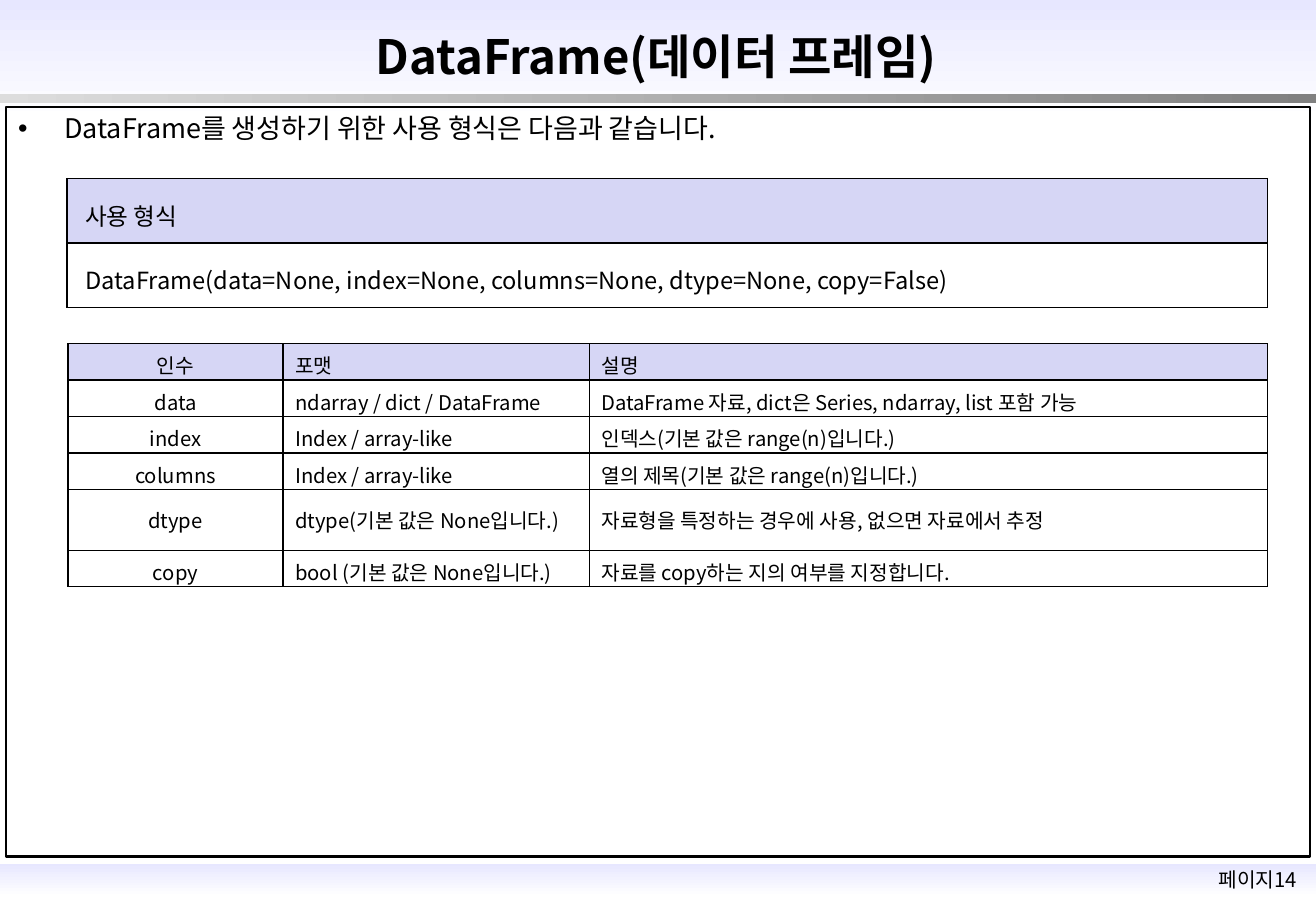
from lxml import etree
from pptx import Presentation
from pptx.dml.color import RGBColor
from pptx.enum.shapes import MSO_SHAPE
from pptx.enum.text import MSO_ANCHOR, PP_ALIGN
from pptx.oxml.ns import qn
from pptx.util import Inches, Pt

RECT = MSO_SHAPE.RECTANGLE
MIDDLE = MSO_ANCHOR.MIDDLE
LEFT, CENTER, JUSTIFY = PP_ALIGN.LEFT, PP_ALIGN.CENTER, PP_ALIGN.JUSTIFY
FONT = "Noto Sans CJK KR"
W, H = 10.83, 7.5


def color(code):
    return RGBColor.from_string(code)


def write(frame, text, size, align, bold=False):
    """Put one run into the frame's first paragraph and return the paragraph."""
    para = frame.paragraphs[0]
    para.alignment = align
    run = para.add_run()
    run.text = text
    run.font.size = Pt(size)
    run.font.bold = bold
    run.font.name = FONT
    run.font.color.rgb = color("000000")
    etree.SubElement(run._r.rPr, qn("a:ea"), typeface=FONT)
    return para


prs = Presentation()
prs.slide_width, prs.slide_height = Inches(W), Inches(H)
slide = prs.slides.add_slide(prs.slide_layouts[6])
shapes = slide.shapes

# Header and footer bands: top, height, first colour, last colour, angle
bands = [
    (7.11, 0.27, "E7E7FF", "FFFFFF", 270),
    (0, 1, "E7E7FF", "FFFFFF", 270),
    (0.77, 0.08, "DDDDDD", "808080", 0),
]
for top, tall, first, last, angle in bands:
    band = shapes.add_shape(RECT, 0, Inches(top), Inches(W), Inches(tall))
    band.shadow.inherit = False
    band.line.fill.background()
    band.fill.gradient()
    band.fill.gradient_angle = angle
    for stop, code in zip(band.fill.gradient_stops, (first, last)):
        stop.color.rgb = color(code)

# Content frame
edge = 0.05
frame = shapes.add_shape(RECT, Inches(edge), Inches(0.88),
                         Inches(W - 2 * edge), Inches(6.17))
frame.shadow.inherit = False
frame.fill.background()
frame.line.color.rgb = color("000000")
frame.line.width = Pt(1.5)

# Title, bullet and page number: box, text, size, alignment, bold
texts = [
    ((1.39, 0.17, 8.02, 0.58), "DataFrame(데이터 프레임)", 28, CENTER, True),
    ((edge, 0.87, 10.55, 0.37),
     "DataFrame를 생성하기 위한 사용 형식은 다음과 같습니다.", 16, LEFT, False),
    ((9.82, 7.09, 1.06, 0.3), "페이지14", 12, CENTER, False),
]
for box, text, size, align, bold in texts:
    label = shapes.add_textbox(*map(Inches, box)).text_frame
    label.word_wrap = True
    label.vertical_anchor = MIDDLE
    para = write(label, text, size, align, bold)
    if align == LEFT:
        props = para._p.get_or_add_pPr()
        props.set("marL", str(Inches(0.38)))
        props.set("indent", str(-Inches(0.38)))
        etree.SubElement(props, qn("a:buFont"), typeface="Arial")
        etree.SubElement(props, qn("a:buChar"), char="•")

# Tables: left, top, columns, rows, size, side/top/bottom insets, aligns, cells
usage = [
    ["사용 형식"],
    ["DataFrame(data=None, index=None, columns=None, dtype=None, copy=False)"],
]
params = [
    ["인수", "포맷", "설명"],
    ["data", "ndarray / dict / DataFrame",
     "DataFrame 자료, dict은 Series, ndarray, list 포함 가능"],
    ["index", "Index / array-like", "인덱스(기본 값은 range(n)입니다.)"],
    ["columns", "Index / array-like", "열의 제목(기본 값은 range(n)입니다.)"],
    ["dtype", "dtype(기본 값은 None입니다.)",
     "자료형을 특정하는 경우에 사용, 없으면 자료에서 추정"],
    ["copy", "bool (기본 값은 None입니다.)",
     "자료를 copy하는 지의 여부를 지정합니다.\u00a0".rstrip()],
]
tables = [
    (0.55, 1.47, [9.88], [0.53] * 2, 14, (0.15, 0.15, 0.08), [LEFT], usage),
    (0.56, 2.83, [1.77, 2.52, 5.58], [0.3] * 4 + [0.5, 0.3], 12,
     (0.1, 0.05, 0), [CENTER, JUSTIFY, JUSTIFY], params),
]
for left, top, cols, rows, size, (side, over, under), aligns, cells in tables:
    grid = shapes.add_table(len(rows), len(cols), Inches(left), Inches(top),
                            Inches(sum(cols)), Inches(sum(rows))).table
    grid.first_row = grid.horz_banding = False
    for col, wide in zip(grid.columns, cols):
        col.width = Inches(wide)
    for r, tall in enumerate(rows):
        grid.rows[r].height = Inches(tall)
        for c, text in enumerate(cells[r]):
            cell = grid.cell(r, c)
            cell.vertical_anchor = MIDDLE
            cell.margin_left = cell.margin_right = Inches(side)
            # The two-line row needs its full height for text
            cell.margin_top = Inches(0 if tall == 0.5 else over)
            cell.margin_bottom = Inches(under)
            write(cell.text_frame, text, size, aligns[c])
            props = cell._tc.get_or_add_tcPr()
            for tag in ("a:lnL", "a:lnR", "a:lnT", "a:lnB"):
                line = etree.SubElement(props, qn(tag), w=str(Pt(1)))
                fill = etree.SubElement(line, qn("a:solidFill"))
                etree.SubElement(fill, qn("a:srgbClr"), val="000000")
            if r == 0:
                cell.fill.solid()
                cell.fill.fore_color.rgb = color("D6D6F5")
            else:
                cell.fill.background()

prs.save("out.pptx")
